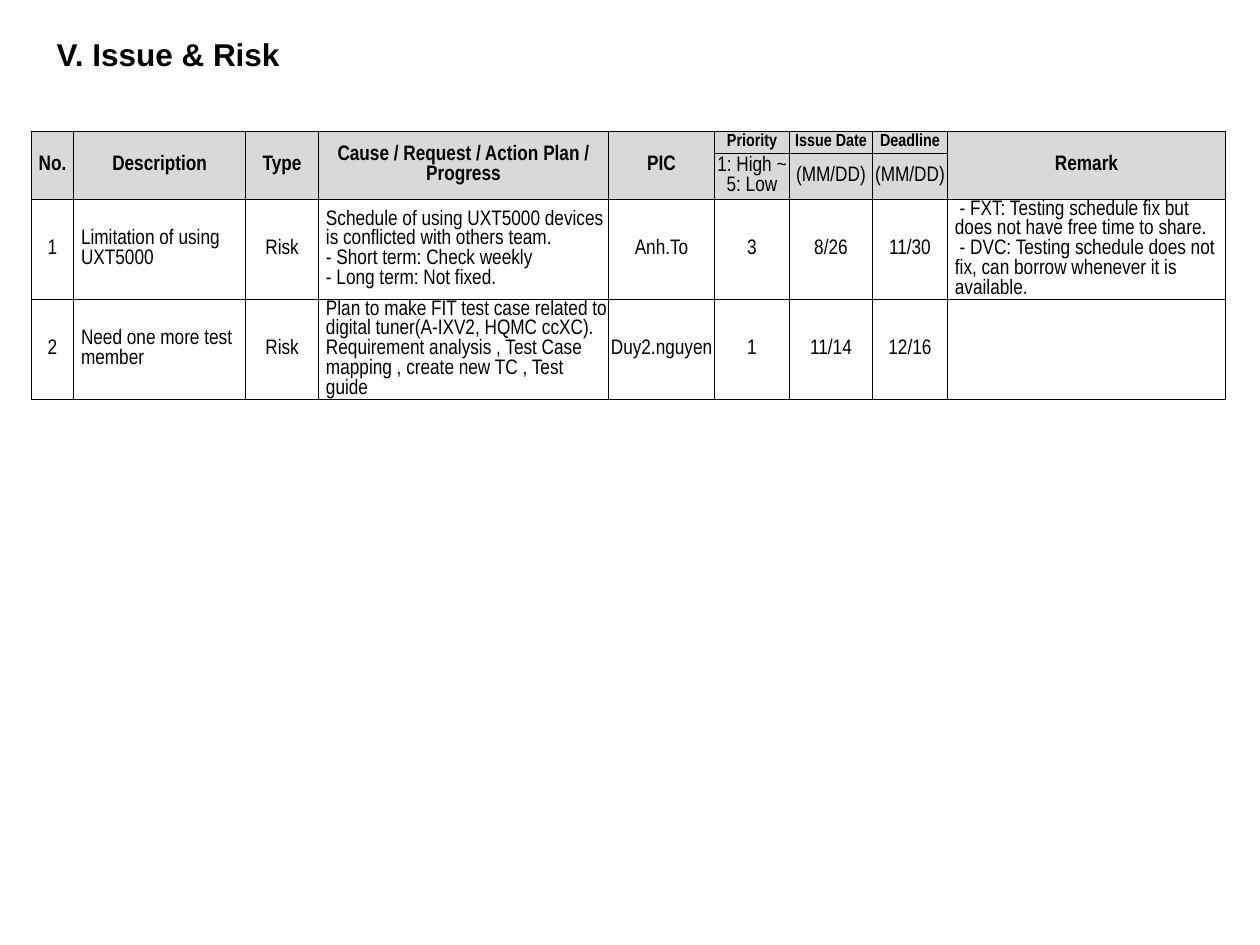
from dataclasses import dataclass
from pptx import Presentation
from pptx.dml.color import RGBColor
from pptx.enum.text import MSO_ANCHOR as Anchor, PP_ALIGN as Align
from pptx.oxml import parse_xml
from pptx.oxml.ns import nsdecls
from pptx.util import Pt


@dataclass(frozen=True)
class Theme:
    ink: str = "000000"
    header: str = "D9D9D9"
    title_font: str = "Arial"
    table_font: str = "Arial Narrow"
    title_size: float = 18
    body_size: float = 12
    small_size: float = 10
    border: float = 0.5
    indent: float = 4.3


theme = Theme()
WIDTHS = [24, 98.5, 41.5, 165.8, 60.6, 42.8, 47.5, 42.8, 159]
HEIGHTS = [12.6, 26.3, 57.1, 57.1]
INDENTED = {1, 3, 8}
SPLIT = {5, 6, 7}
ROWS = [
    ["No.", "Description", "Type", "Cause / Request / Action Plan / Progress",
     "PIC", "Priority", "Issue Date", "Deadline", "Remark"],
    ["", "", "", "", "", "1: High ~ 5: Low", "(MM/DD)", "(MM/DD)", ""],
    ["1", "Limitation of using UXT5000", "Risk",
     "Schedule of using UXT5000 devices is conflicted with others team."
     "\v- Short term: Check weekly\v- Long term: Not fixed.",
     "Anh.To", "3", "8/26", "11/30",
     " - FXT: Testing schedule fix but does not have free time to share."
     "\v - DVC: Testing schedule does not fix, can borrow whenever it is available."],
    ["2", "Need one more test member", "Risk",
     "Plan to make FIT test case related to digital tuner(A-IXV2, HQMC ccXC)."
     "\vRequirement analysis , Test Case mapping , create new TC , Test guide",
     "Duy2.nguyen", "1", "11/14", "12/16", ""],
]


def style_font(font, name, size, bold):
    font.name = name
    font.size = Pt(size)
    font.bold = bold
    font.color.rgb = RGBColor.from_string(theme.ink)


def add_borders(cell):
    properties = cell._tc.get_or_add_tcPr()
    for position, side in enumerate(("lnL", "lnR", "lnT", "lnB")):
        properties.insert(position, parse_xml(
            f'<a:{side} {nsdecls("a")} w="{Pt(theme.border)}"><a:solidFill>'
            f'<a:srgbClr val="{theme.ink}"/></a:solidFill></a:{side}>'))


def fill_cell(cell, text, row, column):
    heading = row < 2
    if heading:
        cell.fill.solid()
        cell.fill.fore_color.rgb = RGBColor.from_string(theme.header)
    else:
        cell.fill.background()
    add_borders(cell)
    cell.margin_left = cell.margin_right = cell.margin_top = cell.margin_bottom = 0
    cell.vertical_anchor = Anchor.MIDDLE
    cell.text_frame.text = text
    para = cell.text_frame.paragraphs[0]
    if not heading and column in INDENTED:
        para.alignment = Align.LEFT
        para._p.get_or_add_pPr().set("marL", str(Pt(theme.indent)))
    else:
        para.alignment = Align.CENTER
    size = theme.small_size if row == 0 and column in SPLIT else theme.body_size
    style_font(para.font, theme.table_font, size, row == 0)


def place_title(page, left, top, width, height):
    box = page.shapes.title
    box.left, box.top, box.width, box.height = Pt(left), Pt(top), Pt(width), Pt(height)
    box.text_frame.text = "V. Issue & Risk"
    box.text_frame.vertical_anchor = Anchor.MIDDLE
    para = box.text_frame.paragraphs[0]
    para.alignment = Align.LEFT
    para.line_spacing = 0.9
    style_font(para.font, theme.title_font, theme.title_size, True)


def place_issues(page, left, top):
    table = page.shapes.add_table(
        len(HEIGHTS), len(WIDTHS), Pt(left), Pt(top),
        Pt(sum(WIDTHS)), Pt(sum(HEIGHTS))).table
    table.first_row = table.horz_banding = False
    for column, width in zip(table.columns, WIDTHS):
        column.width = Pt(width)
    for row, height in zip(table.rows, HEIGHTS):
        row.height = Pt(height)
    for row, texts in enumerate(ROWS):
        for column, text in enumerate(texts):
            fill_cell(table.cell(row, column), text, row, column)
    for column in range(len(WIDTHS)):
        if column not in SPLIT:
            table.cell(0, column).merge(table.cell(1, column))


deck = Presentation()
deck.slide_width, deck.slide_height = Pt(720), Pt(540)
page = deck.slides.add_slide(deck.slide_layouts[5])
place_title(page, 25.2, 5.8, 673.2, 52.6)
place_issues(page, 18, 75)
deck.save("out.pptx")
